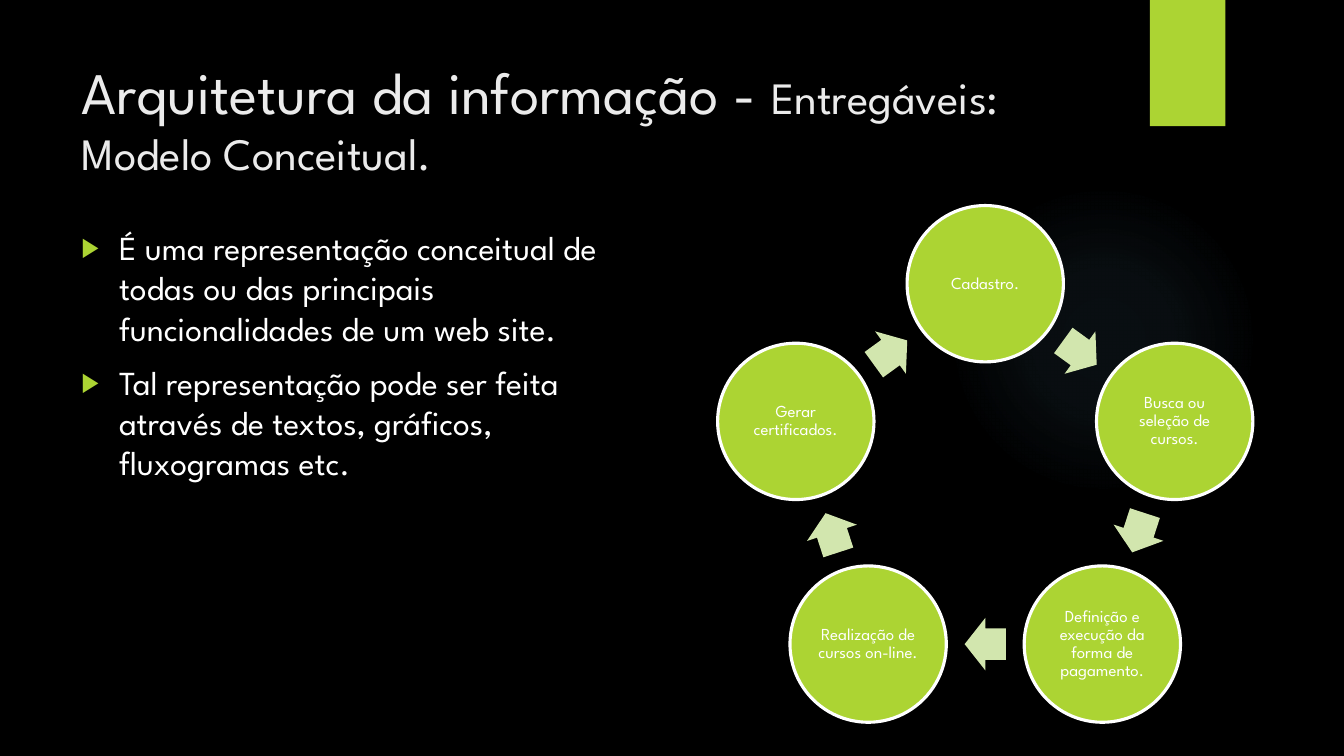
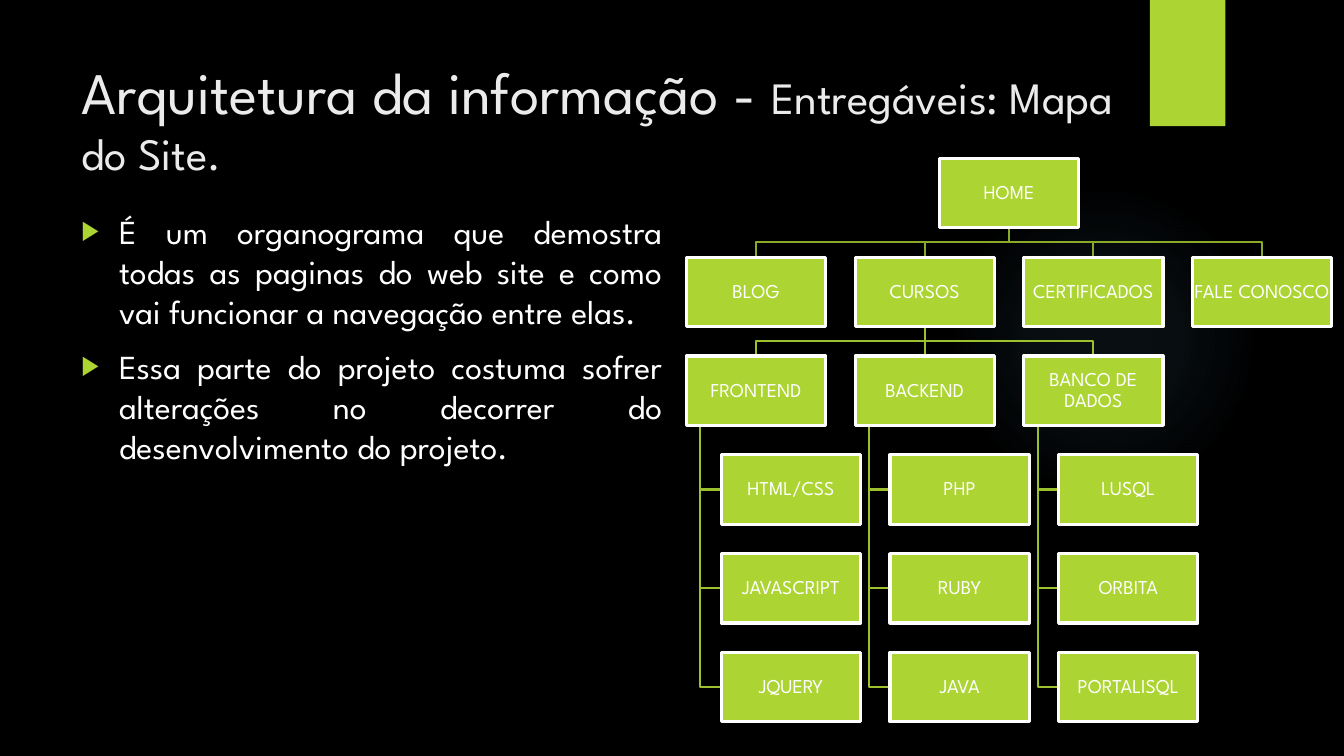
import dataclasses
import math
import typing

import lxml.etree
import pptx
import pptx.dml.color
import pptx.enum.shapes
import pptx.enum.text
import pptx.oxml
import pptx.oxml.ns
import pptx.shapes.autoshape
import pptx.shapes.base
import pptx.slide
import pptx.text.text
import pptx.util

Cm = pptx.util.Cm
Pt = pptx.util.Pt
RGBColor = pptx.dml.color.RGBColor
Shapes = pptx.enum.shapes.MSO_SHAPE
Align = pptx.enum.text.PP_ALIGN
Anchor = pptx.enum.text.MSO_ANCHOR
qn = pptx.oxml.ns.qn

FONT = "League Spartan"
BLACK = RGBColor(0x00, 0x00, 0x00)
WHITE = RGBColor(0xFF, 0xFF, 0xFF)
TITLE_GRAY = RGBColor(0xEB, 0xEB, 0xEB)
LIME = RGBColor(0xAC, 0xD4, 0x33)
PALE_LIME = RGBColor(0xD2, 0xE6, 0xAE)
UPPER_LINE = RGBColor(0x8A, 0xAA, 0x29)
LOWER_LINE = RGBColor(0x9C, 0xC0, 0x2E)
GLOW_BLUE = RGBColor(0x7A, 0xC4, 0xF0)
GLOW_STOPS = ((0, 7), (36, 6), (69, 0))

CYCLE_X, CYCLE_Y, CYCLE_RADIUS = 24.83, 12.17, 5.02
CIRCLE_SIZE = 3.94
ARROW_WIDTH, ARROW_HEIGHT = 1.04, 1.32

MAP_LEFT, MAP_TOP = 17.3, 3.99
COLUMN_STEP, ROW_STEP = 4.25, 2.49
BOX_WIDTH, BOX_HEIGHT = 3.51, 1.75
LEAF_INDENT, SPINE_INDENT = 0.88, 0.35

Point = tuple[float, float]


@dataclasses.dataclass(frozen=True)
class Body:
    top: float
    width: float
    alignment: typing.Any
    paragraphs: tuple[str, ...]


@dataclasses.dataclass(frozen=True)
class Page:
    label: str
    column: float
    row: int
    children: tuple["Page", ...] = ()
    is_leaf: bool = False

    @property
    def left(self) -> float:
        return MAP_LEFT + self.column * COLUMN_STEP + (LEAF_INDENT if self.is_leaf else 0)

    @property
    def top(self) -> float:
        return MAP_TOP + self.row * ROW_STEP

    @property
    def center(self) -> float:
        return self.left + BOX_WIDTH / 2


def make_topic(label: str, column: int, leaves: tuple[str, ...]) -> Page:
    children = tuple(Page(leaf, column, row, is_leaf=True) for row, leaf in enumerate(leaves, 3))
    return Page(label, column, 2, children)


CYCLE_STEPS = (
    "Cadastro.",
    "Busca ou seleção de cursos.",
    "Definição e execução da forma de pagamento.",
    "Realização de cursos on-line.",
    "Gerar certificados.",
)
COURSES = Page("CURSOS", 1, 1, (
    make_topic("FRONTEND", 0, ("HTML/CSS", "JAVASCRIPT", "JQUERY")),
    make_topic("BACKEND", 1, ("PHP", "RUBY", "JAVA")),
    make_topic("BANCO DE DADOS", 2, ("LUSQL", "ORBITA", "PORTALISQL")),
))
HOME = Page("HOME", 1.5, 0, (
    Page("BLOG", 0, 1),
    COURSES,
    Page("CERTIFICADOS", 2, 1),
    Page("FALE CONOSCO", 3, 1),
))
MODEL_BODY = Body(5.59, 14, Align.LEFT, (
    "É uma representação conceitual de todas ou das principais funcionalidades de um web site.",
    "Tal representação pode ser feita através de textos, gráficos, fluxogramas etc.",
))
MAP_BODY = Body(5.18, 15.14, Align.JUSTIFY, (
    "É um organograma que demostra todas as paginas do web site e como vai funcionar "
    "a navegação entre elas.",
    "Essa parte do projeto costuma sofrer alterações no decorrer do desenvolvimento do projeto.",
))


def format_run(run: pptx.text.text._Run, size: float, color: RGBColor) -> None:
    run.font.name = FONT
    run.font.size = Pt(size)
    run.font.color.rgb = color


def add_filled(slide: pptx.slide.Slide, kind: typing.Any, left: float, top: float,
               width: float, height: float, color: RGBColor) -> pptx.shapes.autoshape.Shape:
    shape = slide.shapes.add_shape(kind, Cm(left), Cm(top), Cm(width), Cm(height))
    shape.shadow.inherit = False
    shape.fill.solid()
    shape.fill.fore_color.rgb = color
    shape.line.fill.background()
    return shape


def add_labelled(slide: pptx.slide.Slide, kind: typing.Any, left: float, top: float,
                 width: float, height: float, label: str, size: float, inset: float) -> None:
    shape = add_filled(slide, kind, left, top, width, height, LIME)
    shape.line.color.rgb = WHITE
    shape.line.width = Pt(2.25)
    frame = shape.text_frame
    frame.margin_left = frame.margin_right = frame.margin_top = frame.margin_bottom = Cm(inset)
    frame.vertical_anchor = Anchor.MIDDLE
    frame.word_wrap = True
    frame.text = label
    paragraph = frame.paragraphs[0]
    paragraph.alignment = Align.CENTER
    paragraph.line_spacing = 0.9
    format_run(paragraph.runs[0], size, WHITE)


def draw_glow(slide: pptx.slide.Slide) -> None:
    glow = add_filled(slide, Shapes.OVAL, 23.9, 4.65, 7.82, 7.82, GLOW_BLUE)
    stops = "".join(
        f'<a:gs pos="{position * 1000}"><a:srgbClr val="{GLOW_BLUE}">'
        f'<a:alpha val="{opacity * 1000}"/></a:srgbClr></a:gs>'
        for position, opacity in GLOW_STOPS
    )
    gradient = pptx.oxml.parse_xml(
        f'<a:gradFill {pptx.oxml.ns.nsdecls("a")}><a:gsLst>{stops}</a:gsLst><a:path path="circle">'
        '<a:fillToRect l="50000" t="50000" r="50000" b="50000"/></a:path></a:gradFill>'
    )
    properties = glow._element.spPr
    properties.replace(properties.find(qn("a:solidFill")), gradient)


def add_bullet(paragraph: pptx.text.text._Paragraph) -> None:
    properties = paragraph._p.get_or_add_pPr()
    properties.set("marL", str(Cm(0.95)))
    properties.set("indent", str(Cm(-0.95)))
    color = lxml.etree.SubElement(properties, qn("a:buClr"))
    lxml.etree.SubElement(color, qn("a:srgbClr"), val=str(LIME))
    lxml.etree.SubElement(properties, qn("a:buSzPct"), val="80000")
    lxml.etree.SubElement(properties, qn("a:buFont"), typeface="Arial")
    lxml.etree.SubElement(properties, qn("a:buChar"), char="▶")


def draw_body(slide: pptx.slide.Slide, body: Body) -> None:
    box = slide.shapes.add_textbox(Cm(1.8), Cm(body.top), Cm(body.width), Cm(13.03))
    frame = box.text_frame
    frame.word_wrap = True
    frame.text = "\n".join(body.paragraphs)
    for paragraph in frame.paragraphs:
        paragraph.alignment = body.alignment
        paragraph.space_before = Pt(10)
        add_bullet(paragraph)
        format_run(paragraph.runs[0], 24, WHITE)


def add_slide(presentation: typing.Any, deliverable: str, body: Body) -> pptx.slide.Slide:
    slide = presentation.slides.add_slide(presentation.slide_layouts[5])
    slide.background.fill.solid()
    slide.background.fill.fore_color.rgb = BLACK
    draw_glow(slide)
    add_filled(slide, Shapes.RECTANGLE, 28.98, 0, 1.9, 3.18, LIME)

    title = slide.shapes.title
    title.left, title.top, title.width, title.height = Cm(1.8), Cm(1.27), Cm(26.92), Cm(3.53)
    frame = title.text_frame
    frame.auto_size = pptx.enum.text.MSO_AUTO_SIZE.NONE
    frame.word_wrap = True
    frame.vertical_anchor = Anchor.TOP
    paragraph = frame.paragraphs[0]
    paragraph.alignment = Align.LEFT
    for text, size in (("Arquitetura da informação - ", 42), (f"Entregáveis: {deliverable}.", 32)):
        run = paragraph.add_run()
        run.text = text
        format_run(run, size, TITLE_GRAY)

    draw_body(slide, body)
    return slide


def cycle_point(radius: float, degrees: float) -> Point:
    angle = math.radians(degrees)
    return CYCLE_X + radius * math.sin(angle), CYCLE_Y - radius * math.cos(angle)


def draw_cycle(slide: pptx.slide.Slide, steps: tuple[str, ...]) -> None:
    turn = 360 / len(steps)
    arrow_radius = CYCLE_RADIUS * math.cos(math.radians(turn / 2))
    for index, step in enumerate(steps):
        x, y = cycle_point(CYCLE_RADIUS, index * turn)
        add_labelled(slide, Shapes.OVAL, x - CIRCLE_SIZE / 2, y - CIRCLE_SIZE / 2,
                     CIRCLE_SIZE, CIRCLE_SIZE, step, 12, 0.05)
        rotation = (index + 0.5) * turn
        x, y = cycle_point(arrow_radius, rotation)
        arrow = add_filled(slide, Shapes.RIGHT_ARROW, x - ARROW_WIDTH / 2, y - ARROW_HEIGHT / 2,
                           ARROW_WIDTH, ARROW_HEIGHT, PALE_LIME)
        arrow.adjustments[0], arrow.adjustments[1] = 0.6, 0.5
        arrow.rotation = rotation


def draw_line(slide: pptx.slide.Slide, points: list[Point], color: RGBColor) -> None:
    corners = [(Cm(x), Cm(y)) for x, y in points]
    if len(corners) == 2:
        line = slide.shapes.add_connector(
            pptx.enum.shapes.MSO_CONNECTOR.STRAIGHT, *corners[0], *corners[1])
        lxml.etree.SubElement(line._element.spPr, qn("a:effectLst"))
    else:
        builder = slide.shapes.build_freeform(*corners[0])
        builder.add_line_segments(corners[1:], close=False)
        line = builder.convert_to_shape()
        line.shadow.inherit = False
        line.fill.background()
    line.line.color.rgb = color
    line.line.width = Pt(1.5)


def link_points(parent: Page, child: Page) -> list[Point]:
    bottom = parent.top + BOX_HEIGHT
    if child.is_leaf:
        spine = parent.left + SPINE_INDENT
        middle = child.top + BOX_HEIGHT / 2
        return [(spine, bottom), (spine, middle), (child.left, middle)]
    if child.column == parent.column:
        return [(parent.center, bottom), (child.center, child.top)]
    middle = (bottom + child.top) / 2
    return [(parent.center, bottom), (parent.center, middle),
            (child.center, middle), (child.center, child.top)]


def draw_links(slide: pptx.slide.Slide, parent: Page) -> None:
    for child in parent.children:
        draw_links(slide, child)
        draw_line(slide, link_points(parent, child), LOWER_LINE if parent.row else UPPER_LINE)


def draw_pages(slide: pptx.slide.Slide, page: Page) -> None:
    add_labelled(slide, Shapes.RECTANGLE, page.left, page.top,
                 BOX_WIDTH, BOX_HEIGHT, page.label, 14, 0.02)
    for child in page.children:
        draw_pages(slide, child)


def main() -> None:
    presentation = pptx.Presentation()
    presentation.slide_width = Cm(33.87)
    presentation.slide_height = Cm(19.05)

    model_slide = add_slide(presentation, "Modelo Conceitual", MODEL_BODY)
    draw_cycle(model_slide, CYCLE_STEPS)

    map_slide = add_slide(presentation, "Mapa do Site", MAP_BODY)
    draw_links(map_slide, HOME)
    draw_pages(map_slide, HOME)

    presentation.save("out.pptx")


if __name__ == "__main__":
    main()
